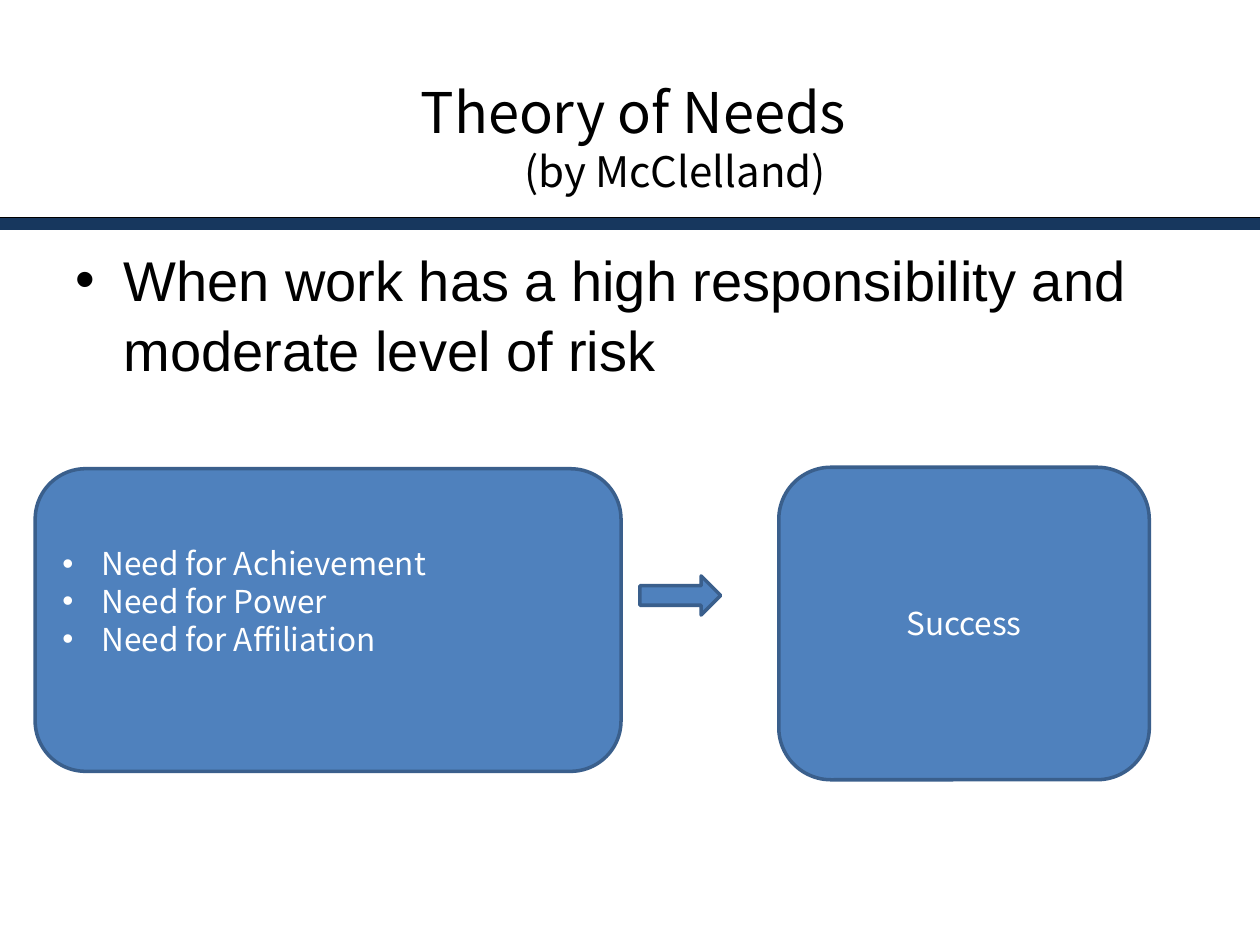
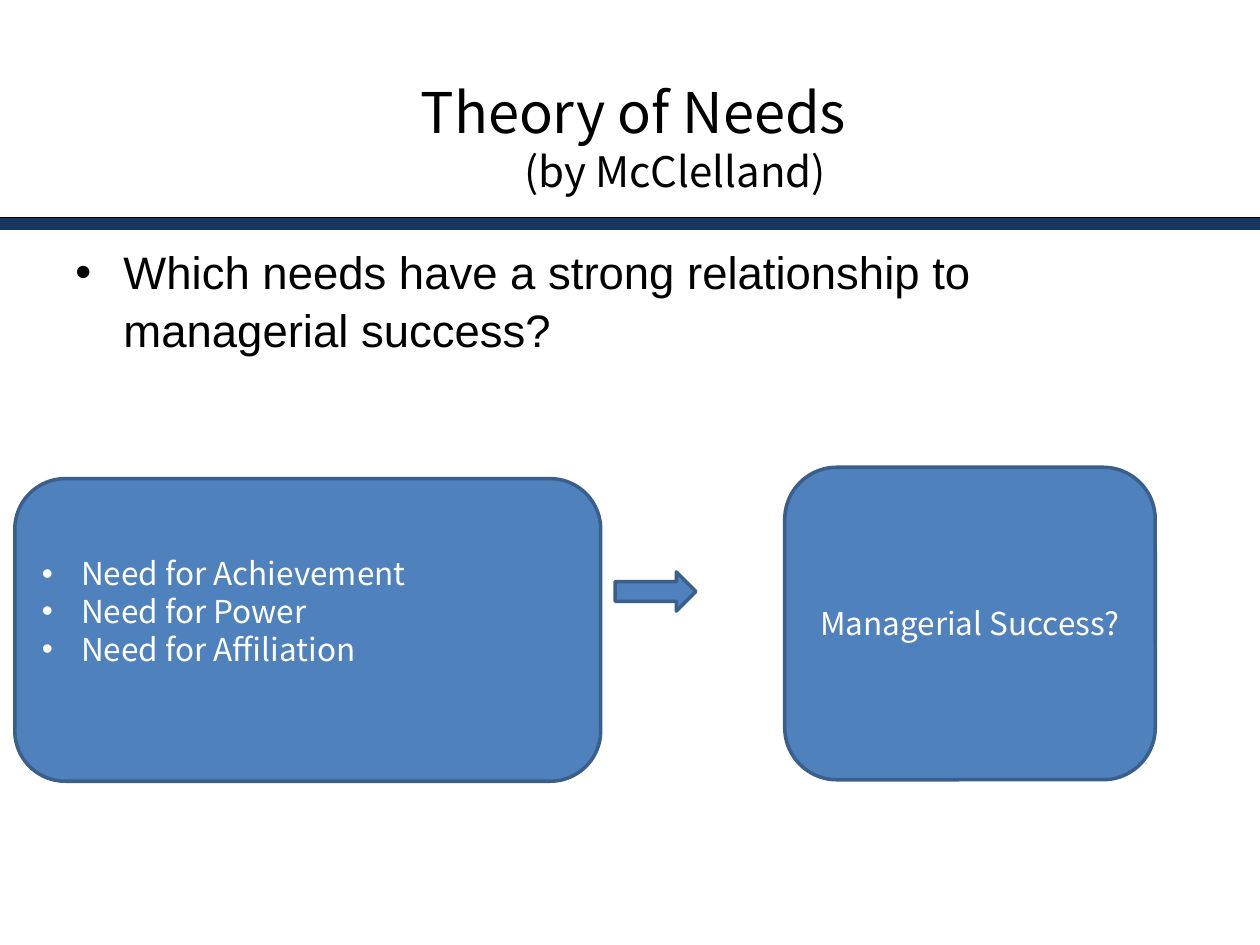
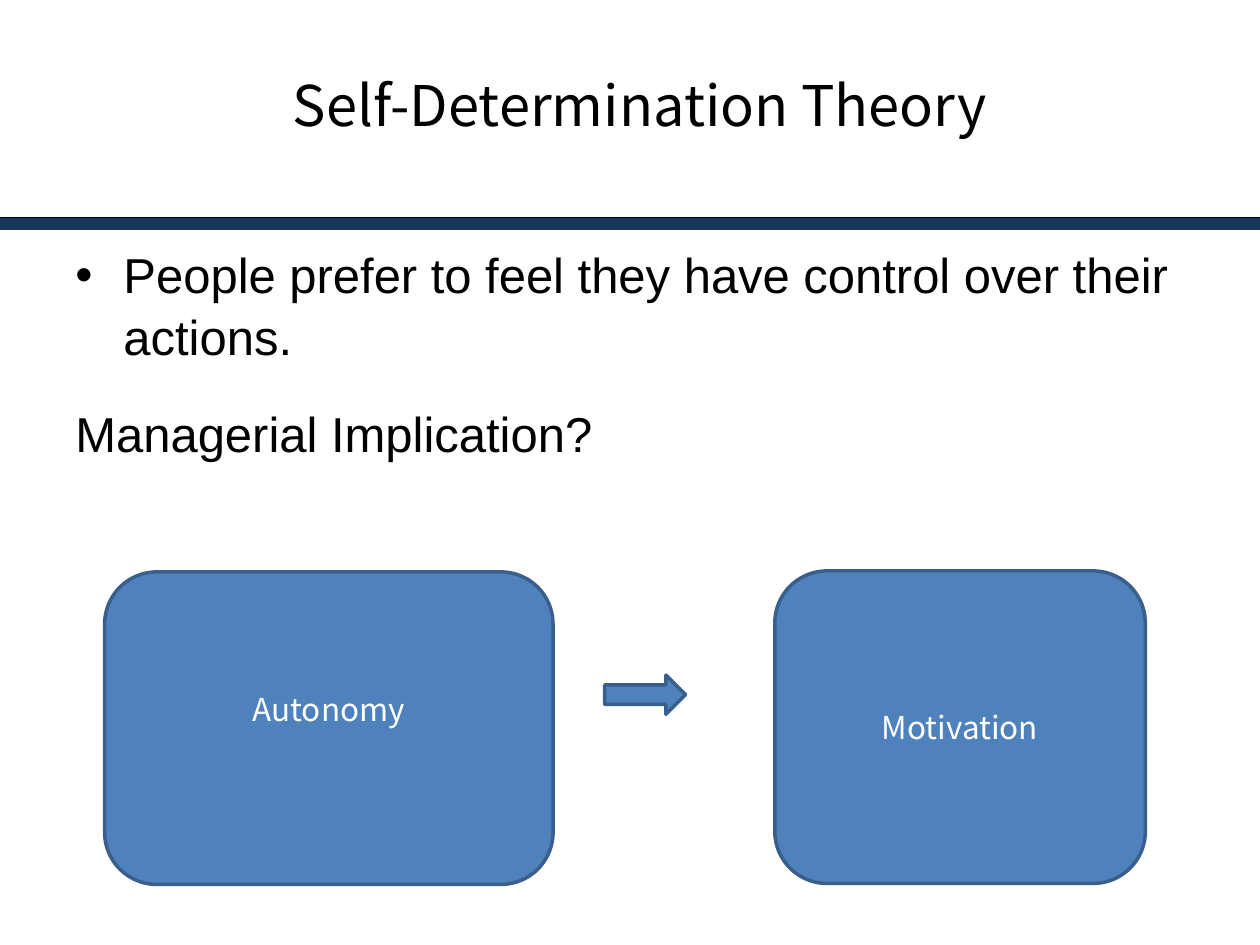
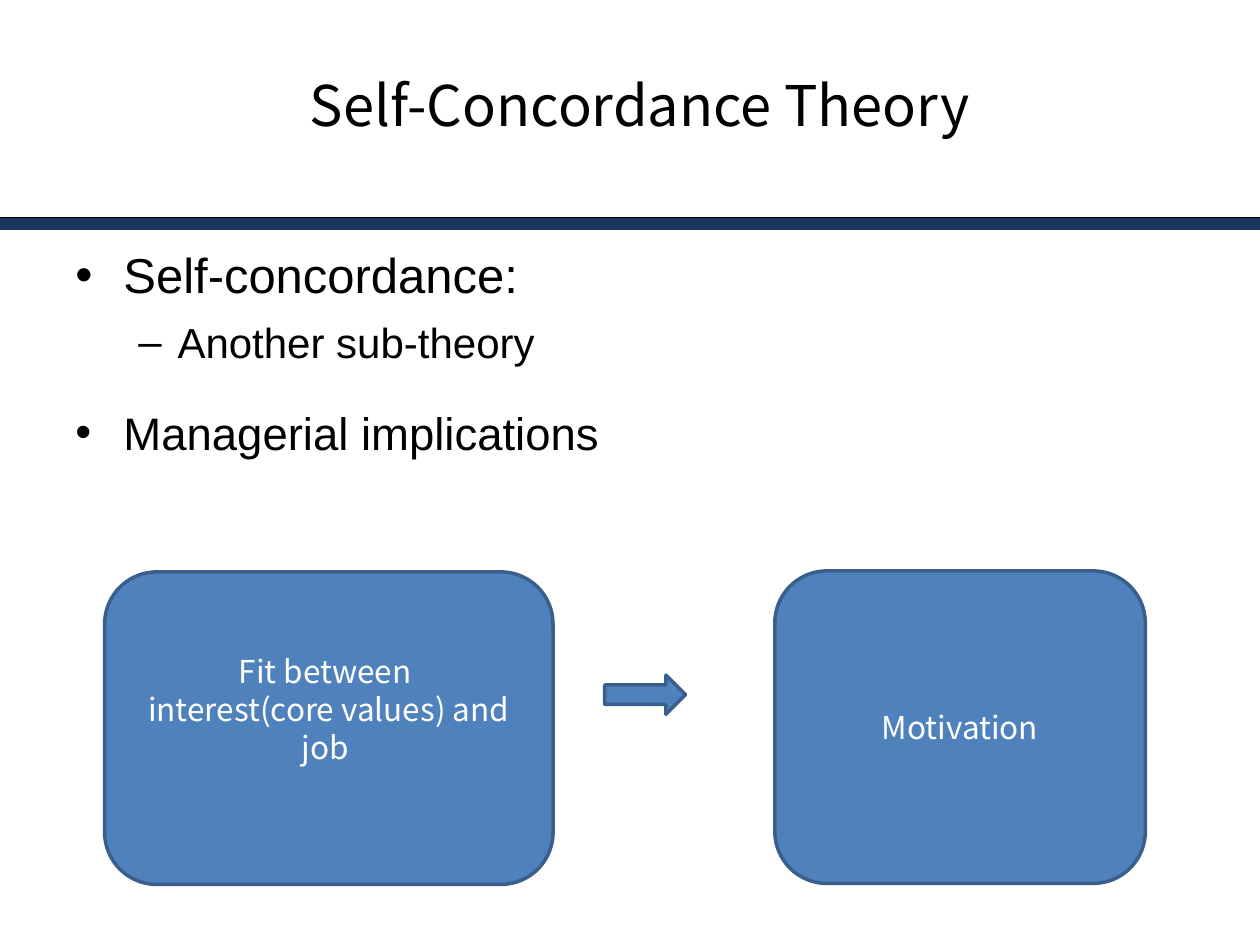
from pptx import Presentation
from pptx.dml.color import RGBColor
from pptx.enum.shapes import MSO_CONNECTOR, MSO_SHAPE
from pptx.enum.text import MSO_ANCHOR, PP_ALIGN
from pptx.util import Cm, Pt
from lxml.etree import SubElement
from pptx.oxml.ns import qn

COLORS = {"navy": "17375E", "black": "000000", "white": "FFFFFF", "blue": "4F81BD", "edge": "3A5F8C"}
HEAD_FONT, BODY_FONT = "Noto Sans CJK KR", "Arial"

NEEDS = ["Need for Achievement", "Need for Power", "Need for Affiliation"]
NEEDS_TITLE = [("Theory of Needs ", 32), ("(by McClelland)", 24)]
NEEDS_SIZE, CAUSE_SIZE, EFFECT_SIZE, ARROW_SIZE = (11.81, 6.1), (9.04, 6.3), (7.47, 6.3), (1.63, 0.79)

MARKS = {"bullet": ("•", 0.97, 0.97, 20), "dash": ("–", 2.06, 0.79, 6), "plain": (None, 0, 0, 20)}

NEEDS_BODY = (22.86, 13.56)
SLIDES = [
    {"title": NEEDS_TITLE, "title_top": 0.76, "body_size": NEEDS_BODY,
     "body": [("bullet", "When work has a high responsibility and moderate level of risk", 32)],
     "cause": NEEDS, "listed": True, "cause_at": (0.71, 9.45), "cause_size": NEEDS_SIZE,
     "effect": "Success", "effect_at": (15.7, 9.42), "arrow_at": (12.9, 11.61)},
    {"title": NEEDS_TITLE, "title_top": 0.76, "body_size": NEEDS_BODY,
     "body": [("bullet", "Which needs have a strong relationship to managerial success?", 26)],
     "cause": NEEDS, "listed": True, "cause_at": (0.3, 9.65), "cause_size": NEEDS_SIZE,
     "effect": "Managerial Success?", "effect_at": (15.82, 9.42), "arrow_at": (12.4, 11.53)},
    {"title": [("Self-Determination Theory", 32)], "title_top": 0.1, "body_size": (23.83, 13.97),
     "body": [("bullet", "People prefer to feel they have control over their actions.", 28),
              ("plain", "Managerial Implication?", 28)],
     "cause": ["Autonomy"], "listed": False, "cause_at": (2.11, 11.53), "cause_size": CAUSE_SIZE,
     "effect": "Motivation", "effect_at": (15.62, 11.51), "arrow_at": (12.19, 13.61)},
    {"title": [("Self-Concordance Theory", 32)], "title_top": 0.1, "body_size": (23.8, 11),
     "body": [("bullet", "Self-concordance:", 28), ("dash", "Another sub-theory", 24),
              ("bullet", "Managerial implications", 26)],
     "cause": ["Fit between ", "interest(core values) and job "], "listed": False,
     "cause_at": (2.11, 11.53), "cause_size": CAUSE_SIZE,
     "effect": "Motivation", "effect_at": (15.62, 11.51), "arrow_at": (12.19, 13.61)},
]


def rgb(name):
    return RGBColor.from_string(COLORS[name])


def box(at, size):
    return [Cm(v) for v in (*at, *size)]


def add_run(p, text, size, font, color):
    r = p.add_run()
    r.text = text
    r.font.size, r.font.name = Pt(size), font
    r.font.color.rgb = rgb(color)
    for tag in ("a:ea", "a:cs"):
        SubElement(r._r.get_or_add_rPr(), qn(tag)).set("typeface", font)


def indent(p, left, hanging, mark=None):
    pPr = p._p.get_or_add_pPr()
    pPr.set("marL", str(Cm(left)))
    pPr.set("indent", str(-Cm(hanging)))
    if mark:
        SubElement(pPr, qn("a:buFont")).set("typeface", "Arial")
        SubElement(pPr, qn("a:buChar")).set("char", mark)


def paragraphs(tf, items):
    for i, item in enumerate(items):
        yield (tf.add_paragraph() if i else tf.paragraphs[0]), item


def add_rule(s, y, color, width):
    line = s.shapes.add_connector(MSO_CONNECTOR.STRAIGHT, 0, Cm(y), Cm(25.4), Cm(y))
    line.line.color.rgb, line.line.width = rgb(color), Pt(width)
    SubElement(line._element.spPr, qn("a:effectLst"))


def add_title(s, parts, top):
    tf = s.shapes.add_textbox(*box((1.47, top), (22.86, 3.99))).text_frame
    tf.word_wrap, tf.vertical_anchor = True, MSO_ANCHOR.MIDDLE
    p = tf.paragraphs[0]
    p.alignment = PP_ALIGN.CENTER
    indent(p, 1.42, 1.42)
    for i, (text, size) in enumerate(parts):
        if i:
            p.add_line_break()
        add_run(p, text, size, HEAD_FONT, "black")


def add_body(s, items, size):
    tf = s.shapes.add_textbox(*box((1.27, 4.75), size)).text_frame
    tf.word_wrap = True
    for p, (kind, text, pt) in paragraphs(tf, items):
        mark, left, hanging, before = MARKS[kind]
        p.level = int(kind == "dash")
        p.line_spacing, p.space_before = 1.05, Pt(before)
        indent(p, left, hanging, mark)
        add_run(p, text, pt, BODY_FONT, "black")


def add_block(s, kind, at, size):
    sp = s.shapes.add_shape(kind, *box(at, size))
    sp.shadow.inherit = False
    sp.fill.solid()
    sp.fill.fore_color.rgb = rgb("blue")
    sp.line.color.rgb, sp.line.width = rgb("edge"), Pt(2)
    return sp


def add_card(s, lines, at, size, listed=False, lift=0):
    tf = add_block(s, MSO_SHAPE.ROUNDED_RECTANGLE, at, size).text_frame
    tf.word_wrap, tf.vertical_anchor = True, MSO_ANCHOR.MIDDLE
    tf.margin_bottom = Cm(0.13 + lift)
    for p, text in paragraphs(tf, lines):
        p.alignment = PP_ALIGN.LEFT if listed else PP_ALIGN.CENTER
        if listed:
            indent(p, 0.79, 0.79, "•")
        add_run(p, text, 18, HEAD_FONT, "white")


def main():
    prs = Presentation()
    prs.slide_width, prs.slide_height = Cm(25.4), Cm(19.05)
    for d in SLIDES:
        s = prs.slides.add_slide(prs.slide_layouts[6])
        add_rule(s, 4.52, "navy", 7)
        add_rule(s, 4.39, "black", 0.5)
        add_title(s, d["title"], d["title_top"])
        add_body(s, d["body"], d["body_size"])
        add_card(s, d["cause"], d["cause_at"], d["cause_size"], d["listed"], lift=0.76)
        add_card(s, [d["effect"]], d["effect_at"], EFFECT_SIZE)
        add_block(s, MSO_SHAPE.RIGHT_ARROW, d["arrow_at"], ARROW_SIZE)
    prs.save("out.pptx")


if __name__ == "__main__":
    main()
